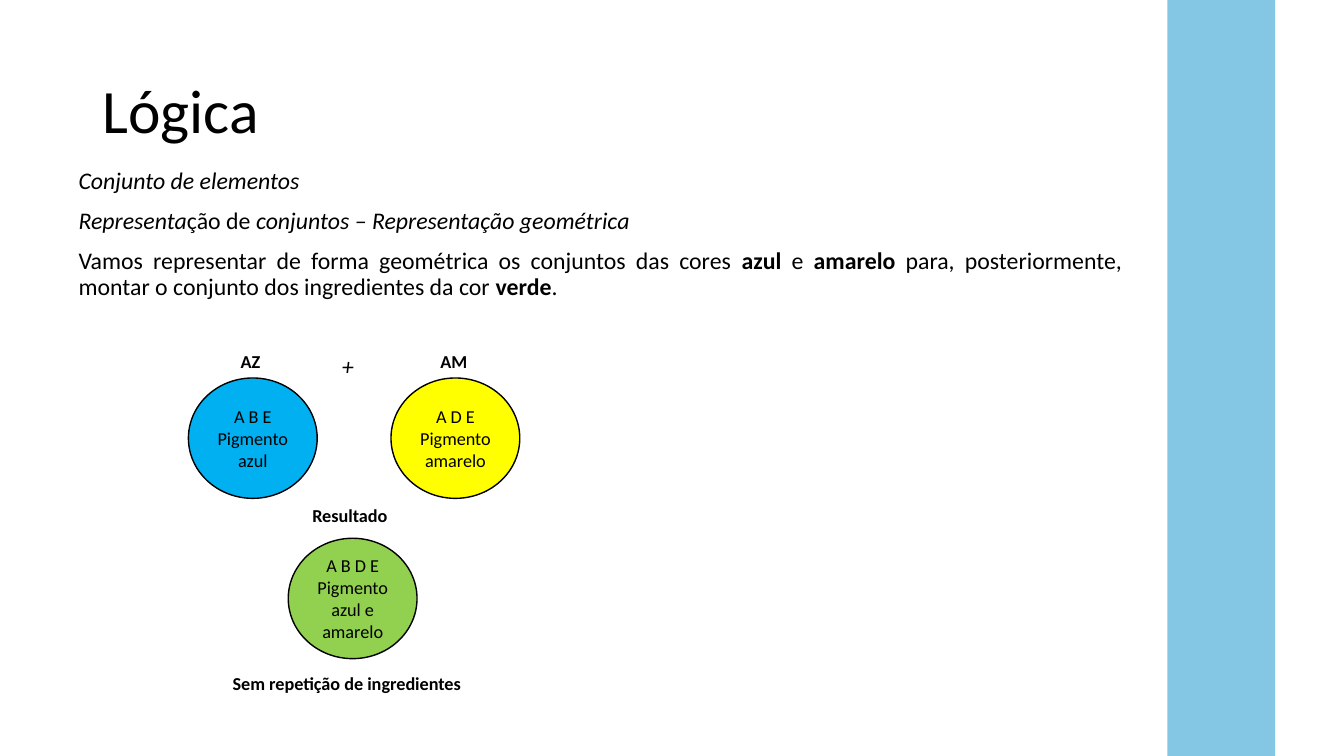
import pptx
import pptx.util
import pptx.dml.color
import pptx.enum.shapes
import pptx.enum.text

Pt = pptx.util.Pt
ALIGN = pptx.enum.text.PP_ALIGN
ANCHOR = pptx.enum.text.MSO_ANCHOR
SHAPE = pptx.enum.shapes.MSO_SHAPE

COLORS = {"band": "83C7E5", "ink": "000000", "blue": "00B0F0",
          "yellow": "FFFF00", "green": "92D050"}

CIRCLE_WIDTH, CIRCLE_HEIGHT = 92, 86

STATEMENTS = [
    [("Conjunto de elementos", {"italic": True})],
    [("Representa", {"italic": True}), ("ção de ", {}),
     ("conjuntos – Representação geométrica", {"italic": True})],
    [("Vamos representar de forma geométrica os conjuntos das cores ", {}),
     ("azul", {"bold": True}), (" e ", {}), ("amarelo", {"bold": True}),
     (" para, posteriormente, montar o conjunto dos ingredientes da cor ", {}),
     ("verde", {"bold": True}), (".", {})],
]

SETS = [
    (0, 23, "blue", ["A B E", "Pigmento azul"]),
    (144.7, 23, "yellow", ["A D E", "Pigmento amarelo"]),
    (71.3, 137.5, "green", ["A B D E", "Pigmento azul e amarelo"]),
]

LABELS = [
    (30.2, 0, 32, "AZ", {"size": Pt(13), "bold": True}),
    (172.8, 0, 37, "AM", {"size": Pt(13), "bold": True}),
    (81.4, 109.4, 72, "Resultado", {"size": Pt(13), "bold": True}),
    (24.5, 229.7, 186, "Sem repetição de ingredientes", {"size": Pt(13), "bold": True}),
    (102.5, 0.5, 24, "+", {"size": Pt(17), "italic": True}),
]


def apply(target, values):
    """Set every attribute in values on target."""
    for name, value in values.items():
        setattr(target, name, value)


def style_font(font, **values):
    """Give a font the shared typeface and ink, plus its own values."""
    apply(font, {"name": "Calibri", **values})
    font.color.rgb = pptx.dml.color.RGBColor.from_string(COLORS["ink"])


def paint(shape, color):
    """Fill a shape with a named colour and drop its shadow."""
    shape.shadow.inherit = False
    shape.fill.solid()
    shape.fill.fore_color.rgb = pptx.dml.color.RGBColor.from_string(COLORS[color])


def add_band(slide, left, top, width, height):
    """Draw the vertical colour band."""
    band = slide.shapes.add_shape(SHAPE.RECTANGLE, Pt(left), Pt(top), Pt(width), Pt(height))
    paint(band, "band")
    band.line.fill.background()


def add_heading(slide, left, top, width, height):
    """Place and format the title."""
    heading = slide.shapes.title
    apply(heading, {"left": Pt(left), "top": Pt(top), "width": Pt(width), "height": Pt(height)})
    frame = heading.text_frame
    apply(frame, {"text": "Lógica", "vertical_anchor": ANCHOR.MIDDLE,
                  "auto_size": pptx.enum.text.MSO_AUTO_SIZE.NONE})
    apply(frame.paragraphs[0], {"alignment": ALIGN.LEFT, "line_spacing": 0.9})
    style_font(frame.paragraphs[0].runs[0].font, size=Pt(44))


def add_statements(slide, left, top, width, height):
    """Write the justified introduction."""
    frame = slide.shapes.add_textbox(Pt(left), Pt(top), Pt(width), Pt(height)).text_frame
    frame.word_wrap = True
    for index, pieces in enumerate(STATEMENTS):
        paragraph = frame.add_paragraph() if index else frame.paragraphs[0]
        apply(paragraph, {"alignment": ALIGN.JUSTIFY, "line_spacing": 0.9,
                          "space_before": Pt(10 if index else 0)})
        for words, emphasis in pieces:
            run = paragraph.add_run()
            run.text = words
            style_font(run.font, size=Pt(17), **emphasis)


def add_color_sets(slide, left, top):
    """Draw the pigment sets and their labels."""
    for x, y, color, lines in SETS:
        circle = slide.shapes.add_shape(SHAPE.OVAL, Pt(left + x), Pt(top + y),
                                        Pt(CIRCLE_WIDTH), Pt(CIRCLE_HEIGHT))
        paint(circle, color)
        circle.line.width = Pt(1)
        circle.line.color.rgb = pptx.dml.color.RGBColor.from_string(COLORS["ink"])
        frame = circle.text_frame
        apply(frame, {"text": "\n".join(lines), "word_wrap": True,
                      "vertical_anchor": ANCHOR.MIDDLE})
        for paragraph in frame.paragraphs:
            paragraph.alignment = ALIGN.CENTER
            style_font(paragraph.runs[0].font, size=Pt(13))
    for x, y, width, words, emphasis in LABELS:
        frame = slide.shapes.add_textbox(Pt(left + x), Pt(top + y), Pt(width), Pt(23)).text_frame
        apply(frame, {"text": words, "word_wrap": False})
        style_font(frame.paragraphs[0].runs[0].font, **emphasis)


def main():
    """Build and save the slide."""
    deck = pptx.Presentation()
    apply(deck, {"slide_width": Pt(960), "slide_height": Pt(540)})
    slide = deck.slides.add_slide(deck.slide_layouts[5])
    add_band(slide, 833.8, 0, 77, 540)
    add_heading(slide, 66, 29, 760, 104)
    add_statements(slide, 49, 117.4, 759.6, 110)
    add_color_sets(slide, 134.6, 247)
    deck.save("out.pptx")


if __name__ == "__main__":
    main()
